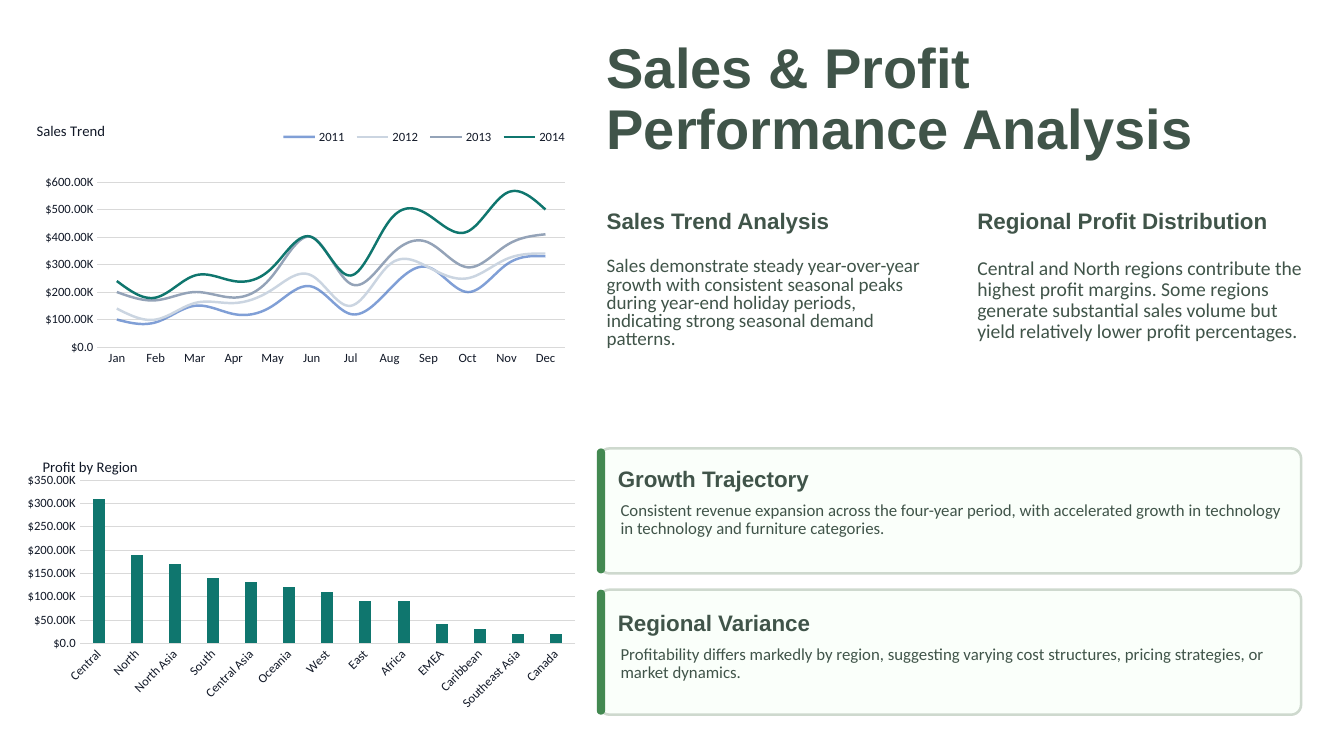
from dataclasses import dataclass

from pptx import Presentation, util as u
from pptx.chart import data as cd
from pptx.dml.color import RGBColor
from pptx.enum import chart as ch, shapes, text
from pptx.oxml import parse_xml
from pptx.oxml.ns import nsdecls

GREEN_TEXT = RGBColor(0x40, 0x54, 0x49)
CARD_FILL = RGBColor(0xFA, 0xFF, 0xFA)
CARD_LINE = RGBColor(0xCE, 0xD9, 0xCE)
ACCENT = RGBColor(0x43, 0x89, 0x51)
INK = RGBColor(0x11, 0x18, 0x27)
GRID = RGBColor(0xD9, 0xD9, 0xD9)
BLUE = RGBColor(0x44, 0x72, 0xC4)
PALE = RGBColor(0xCB, 0xD5, 0xE1)
SLATE = RGBColor(0x94, 0xA3, 0xB8)
TEAL = RGBColor(0x0F, 0x76, 0x6E)

MONEY = '[>=1000000]"$"0.00,,"M";[>=1000]"$"0.00,"K";"$"0.0'


@dataclass
class TextBlock:
    words: str
    box: tuple  # left, top, width, height in cm
    size: float
    heading: bool = False
    spacing: float = 0.9


@dataclass
class Card:
    top: float
    text_top: float
    heading: str
    body: str


@dataclass
class ChartSpec:
    title: str
    kind: int
    box: tuple
    categories: list
    series: dict  # name: (values in thousands, colour)
    top_value: int
    step: int
    title_at: tuple  # fractions of the chart
    plot_at: tuple


def cm(box: tuple) -> list:
    return [u.Cm(v) for v in box]


def add_text(s, block: TextBlock) -> None:
    tf = s.shapes.add_textbox(*cm(block.box)).text_frame
    tf.word_wrap = True
    tf.vertical_anchor = text.MSO_ANCHOR.BOTTOM if block.heading else text.MSO_ANCHOR.TOP
    p = tf.paragraphs[0]
    p.text = block.words
    p.line_spacing = block.spacing
    if not block.heading:
        p.space_before = u.Pt(10)
    p.font.name = "Arial" if block.heading else "Calibri"
    p.font.size = u.Pt(block.size)
    p.font.bold = block.heading
    p.font.color.rgb = GREEN_TEXT


def add_round_rect(s, box: tuple, adj: float, fill: RGBColor):
    sp = s.shapes.add_shape(shapes.MSO_SHAPE.ROUNDED_RECTANGLE, *cm(box))
    sp.adjustments[0] = adj
    sp.shadow.inherit = False
    sp.fill.solid()
    sp.fill.fore_color.rgb = fill
    sp.line.fill.background()
    return sp


def add_card(s, card: Card) -> None:
    panel = add_round_rect(s, (15.11, card.top, 17.68, 3.15), 0.08, CARD_FILL)
    panel.line.color.rgb = CARD_LINE
    panel.line.width = u.Pt(1.8)
    add_round_rect(s, (15.04, card.top, 0.21, 3.15), 0.5, ACCENT)
    add_text(s, TextBlock(card.heading, (15.32, card.text_top, 6.53, 0.91), 16, True))
    add_text(s, TextBlock(card.body, (15.39, card.text_top + 0.91, 17.25, 1.85), 12))


def set_layout(parent, index: int, at: tuple, inner: bool = False) -> None:
    """Place a chart part by fractions of the chart: x, y and perhaps w, h."""
    for old in parent.xpath("c:layout"):
        parent.remove(old)
    target = '<c:layoutTarget val="inner"/>' if inner else ""
    modes = "".join(f'<c:{k}Mode val="edge"/>' for k in "xy")
    sizes = "".join(f'<c:{k} val="{v}"/>' for k, v in zip("xywh", at))
    parent.insert(index, parse_xml(
        f'<c:layout {nsdecls("c")}><c:manualLayout>{target}{modes}{sizes}'
        '</c:manualLayout></c:layout>'))


def style_font(font, size: float, color: RGBColor = INK) -> None:
    font.name = "Calibri"
    font.size = u.Pt(size)
    font.bold = False
    font.color.rgb = color


def add_chart(s, spec: ChartSpec):
    data = cd.CategoryChartData()
    data.categories = spec.categories
    for name, (values, _) in spec.series.items():
        data.add_series(name, [v * 1000 for v in values])
    chart = s.shapes.add_chart(spec.kind, *cm(spec.box), data).chart
    style_font(chart.font, 10, RGBColor(0, 0, 0))
    chart.has_legend = False

    # Title and plot area
    chart.has_title = True
    p = chart.chart_title.text_frame.paragraphs[0]
    p.text = spec.title
    style_font(p.font, 10.5)
    set_layout(chart.element.xpath("c:chart/c:title")[0], 1, spec.title_at)
    set_layout(chart.element.xpath("c:chart/c:plotArea")[0], 0, spec.plot_at, True)

    # Axes
    for axis in (chart.category_axis, chart.value_axis):
        axis.major_tick_mark = axis.minor_tick_mark = ch.XL_TICK_MARK.NONE
        axis.format.line.fill.background()
        style_font(axis.tick_labels.font, 9)
    values = chart.value_axis
    values.minimum_scale, values.maximum_scale = 0, spec.top_value
    values.major_unit = spec.step
    values.tick_labels.number_format = MONEY
    values.tick_labels.number_format_is_linked = False
    values.major_gridlines.format.line.color.rgb = GRID
    values.major_gridlines.format.line.width = u.Pt(0.25)
    chart.plots[0].vary_by_categories = False
    return chart


prs = Presentation()
prs.slide_width, prs.slide_height = u.Cm(33.87), u.Cm(19.05)
s = prs.slides.add_slide(prs.slide_layouts[6])

# Title and the two analysis columns
for block in (
    TextBlock("Sales & Profit Performance Analysis", (15.04, 1.04, 18.47, 3.15), 40, True),
    TextBlock("Sales Trend Analysis", (15.04, 5.13, 6.53, 0.91), 16, True),
    TextBlock("Sales demonstrate steady year-over-year growth with consistent seasonal peaks "
              "during year-end holiday periods, indicating strong seasonal demand patterns.",
              (15.04, 6.38, 8.41, 2.74), 13.6, spacing=0.8),
    TextBlock("Regional Profit Distribution", (24.38, 5.11, 7.82, 0.91), 16, True),
    TextBlock("Central and North regions contribute the highest profit margins. Some regions "
              "generate substantial sales volume but yield relatively lower profit percentages.",
              (24.38, 6.38, 9.12, 3.1), 14),
):
    add_text(s, block)

# Insight cards
for card in (
    Card(11.3, 11.61, "Growth Trajectory",
         "Consistent revenue expansion across the four-year period, with accelerated growth "
         "in technology in technology and furniture categories."),
    Card(14.86, 15.24, "Regional Variance",
         "Profitability differs markedly by region, suggesting varying cost structures, "
         "pricing strategies, or market dynamics."),
):
    add_card(s, card)

# Sales trend lines
trend = add_chart(s, ChartSpec(
    "Sales Trend", ch.XL_CHART_TYPE.LINE, (0.43, 2.62, 14.15, 7.21),
    "Jan Feb Mar Apr May Jun Jul Aug Sep Oct Nov Dec".split(),
    {"2011": ([100, 90, 150, 120, 150, 220, 120, 210, 290, 200, 300, 330], BLUE),
     "2012": ([140, 100, 160, 160, 210, 260, 150, 300, 290, 250, 320, 340], PALE),
     "2013": ([200, 170, 200, 180, 260, 400, 230, 330, 380, 290, 370, 410], SLATE),
     "2014": ([240, 180, 260, 240, 290, 400, 260, 460, 480, 420, 560, 500], TEAL)},
    600000, 100000, (0.03, 0.05), (0.143, 0.273, 0.833, 0.577)))
for series, color in zip(trend.plots[0].series, (BLUE, PALE, SLATE, TEAL)):
    series.smooth = True
    series.marker.style = ch.XL_MARKER_STYLE.NONE
    series.format.line.color.rgb = color
    series.format.line.width = u.Pt(1.75)
blue_line = trend.element.xpath(".//c:ser/c:spPr/a:ln//a:srgbClr")[0]
blue_line.append(parse_xml(f'<a:alpha {nsdecls("a")} val="68000"/>'))
trend.has_legend = True
trend.legend.position = ch.XL_LEGEND_POSITION.TOP
trend.legend.include_in_layout = True
style_font(trend.legend.font, 9)
set_layout(trend.element.xpath("c:chart/c:legend")[0], 1, (0.46, 0.07, 0.53, 0.09))

# Profit columns
profit = add_chart(s, ChartSpec(
    "Profit by Region", ch.XL_CHART_TYPE.COLUMN_CLUSTERED, (0.43, 10.8, 14.35, 7.21),
    ["Central", "North", "North Asia", "South", "Central Asia", "Oceania", "West", "East",
     "Africa", "EMEA", "Caribbean", "Southeast Asia", "Canada"],
    {"Series 1": ([310, 190, 170, 140, 130, 120, 110, 90, 90, 40, 30, 20, 20], TEAL)},
    350000, 50000, (0.04, 0.09), (0.11, 0.18, 0.87, 0.57)))
bars = profit.plots[0]
bars.gap_width, bars.overlap = 219, -27
bars.series[0].format.fill.solid()
bars.series[0].format.fill.fore_color.rgb = TEAL
profit.element.xpath(".//c:catAx/c:txPr/a:bodyPr")[0].set("rot", "-2700000")

prs.save("out.pptx")
